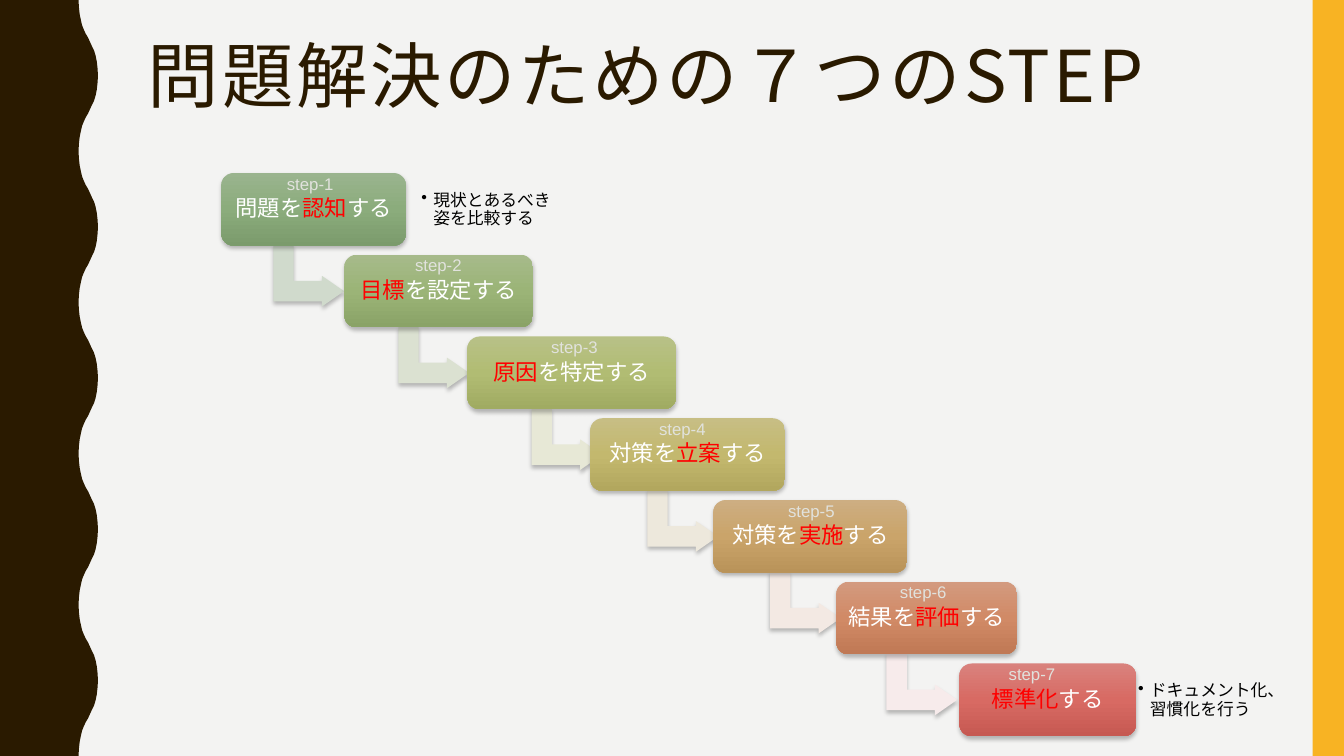
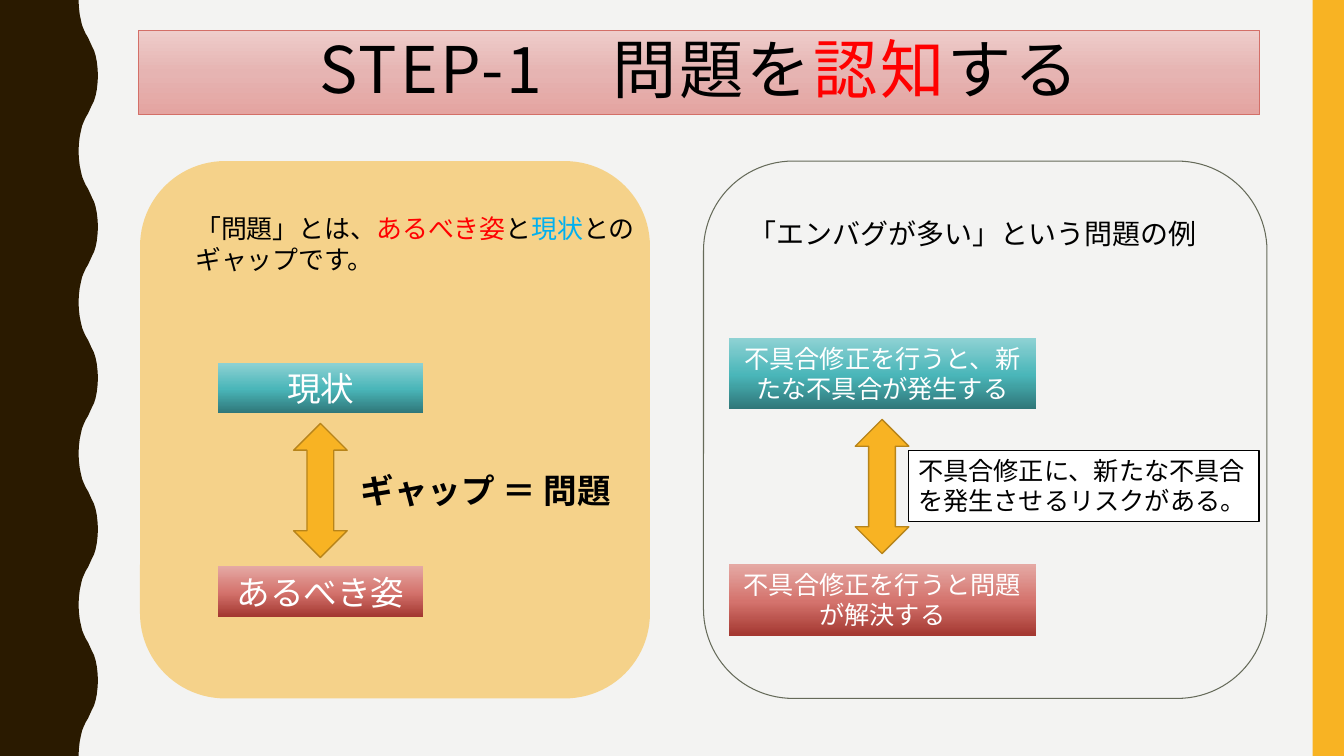
"""Build two slides on the seven steps of problem solving."""
from dataclasses import dataclass

from lxml import etree
from pptx import Presentation
from pptx.dml.color import RGBColor
from pptx.enum.lang import MSO_LANGUAGE_ID
from pptx.enum.shapes import MSO_SHAPE
from pptx.enum.text import MSO_ANCHOR, MSO_AUTO_SIZE, PP_ALIGN
from pptx.oxml.ns import qn
from pptx.shapes.autoshape import Shape
from pptx.slide import Slide
from pptx.util import Cm, Pt

RECT = MSO_SHAPE.RECTANGLE
ROUND = MSO_SHAPE.ROUNDED_RECTANGLE
BENT_ARROW = MSO_SHAPE.BENT_UP_ARROW
DOUBLE_ARROW = MSO_SHAPE.UP_DOWN_ARROW
LEFT, CENTER = PP_ALIGN.LEFT, PP_ALIGN.CENTER
TOP, MIDDLE = MSO_ANCHOR.TOP, MSO_ANCHOR.MIDDLE
GROW = MSO_AUTO_SIZE.SHAPE_TO_FIT_TEXT
JAPANESE = MSO_LANGUAGE_ID.JAPANESE

COLORS = {
    "paper": "F3F3F2", "brown": "2A1A00", "amber": "F8B323", "amber_edge": "B7841A",
    "black": "000000", "white": "FFFFFF", "red": "FF0000", "blue": "00B0F0",
    "label": "E1E2DD", "panel_edge": "656A59", "title_edge": "D36F68",
    "arrow1": "D0DACC", "arrow2": "DBE1D1", "arrow3": "E7E8D6",
    "arrow4": "EDE8DC", "arrow5": "F3E9E3", "arrow6": "F7EBEB",
}
RAMPS = {
    "step1": {0: "9AB48E", 50: "8BAC7C", 100: "7B9B6C"},
    "step2": {0: "A6BA8A", 50: "9BB477", 100: "8AA367"},
    "step3": {0: "B8C187", 50: "B1BC73", 100: "A0AB62"},
    "step4": {0: "C7BE84", 50: "C3B86E", 100: "B2A75E"},
    "step5": {0: "CDAE82", 50: "CAA46A", 100: "B99359"},
    "step6": {0: "D39A7F", 50: "D18A66", 100: "C07955"},
    "step7": {0: "D9827D", 50: "D86A63", 100: "C65952"},
    "title": {0: "EECDCB", 50: "E6B4B2", 100: "E4A4A1"},
    "teal": {0: "8FD2D4", 52: "4AB6B9", 100: "2F7779"},
    "rose": {0: "E5A9A4", 52: "D4736D", 100: "A33730"},
}
PAGE_WIDTH, PAGE_HEIGHT = 33.87, 19.05
WAVE_PERIOD, WAVE_COUNT = 3.81, 5
HALF_WAVE = [
    (1.98, 0), (1.99, 0.19), (2.01, 0.36), (2.04, 0.51), (2.07, 0.64),
    (2.11, 0.74), (2.16, 0.85), (2.22, 0.95), (2.27, 1.06), (2.32, 1.17),
    (2.37, 1.27), (2.41, 1.4), (2.44, 1.55), (2.46, 1.73), (2.47, 1.91),
]
CARD_LEFT, CARD_TOP, CARD_HEIGHT = 5.58, 4.36, 1.83
STEP_RIGHT, STEP_DOWN = 3.1, 2.06


@dataclass(frozen=True)
class Box:
    left: float
    top: float
    width: float
    height: float


@dataclass(frozen=True)
class Span:
    text: str
    color: str = "black"


@dataclass(frozen=True)
class Style:
    size: float
    face: str = "Cabin"
    align: PP_ALIGN = LEFT
    anchor: MSO_ANCHOR = TOP
    line: float = 1.0
    before: float = 0
    tracking: int = 0
    bold: bool = False
    wrap: bool = True
    inset: tuple[float, float] = (0.25, 0.13)
    bullet: bool = False


@dataclass(frozen=True)
class Step:
    width: float
    label_left: float
    spans: tuple[Span, ...]


@dataclass(frozen=True)
class Gap:
    now: str
    goal: str
    box: Box
    goal_top: float
    size: float
    arrow_top: float


TITLE = Style(51, "Noto Sans CJK SC", line=0.8, tracking=200)
BANNER = Style(45.9, "Noto Sans CJK JP", CENTER, MIDDLE, line=0.9, tracking=200)
CARD = Style(16, align=CENTER, anchor=MIDDLE, line=0.9, inset=(0.18, 0.18))
LABEL = Style(12, "Arial", wrap=False)
NOTE = Style(12, anchor=MIDDLE, line=0.9, inset=(0.13, 0.13), bullet=True)

STEPS = [
    Step(4.65, 6.98, (Span("問題を", "white"), Span("認知", "red"), Span("する", "white"))),
    Step(4.75, 10.21, (Span("目標", "red"), Span("を設定する", "white"))),
    Step(5.26, 13.64, (Span("原因", "red"), Span("を特定する", "white"))),
    Step(4.9, 16.36, (Span("対策を", "white"), Span("立案", "red"), Span("する", "white"))),
    Step(4.88, 19.61, (Span("対策を", "white"), Span("実施", "red"), Span("する", "white"))),
    Step(4.55, 22.43, (Span("結果を", "white"), Span("評価", "red"), Span("する", "white"))),
    Step(4.45, 25.17, (Span("標準化", "red"), Span("する", "white"))),
]
NOTES = [
    (Box(10.49, 4.55, 3.76, 1.47), "現状とあるべき姿を比較する"),
    (Box(28.55, 16.92, 3.68, 1.47), "ドキュメント化、習慣化を行う"),
]
GAPS = [
    Gap("現状", "あるべき姿", Box(5.49, 9.14, 5.18, 1.27), 14.27, 24, 10.67),
    Gap("不具合修正を行うと、新たな不具合が発生する", "不具合修正を行うと問題が解決する",
        Box(18.36, 8.51, 7.75, 1.8), 14.22, 18, 10.57),
]


def rgb(name: str) -> RGBColor:
    return RGBColor.from_string(COLORS[name])


def place(box: Box) -> tuple[Cm, Cm, Cm, Cm]:
    return Cm(box.left), Cm(box.top), Cm(box.width), Cm(box.height)


def add_color(parent: etree._Element, value: str, alpha: int = 100) -> None:
    color = etree.SubElement(parent, qn("a:srgbClr"), val=value)
    if alpha < 100:
        etree.SubElement(color, qn("a:alpha"), val=str(alpha * 1000))


def paint(shape: Shape, fill: str = "", edge: str = "", weight: float = 1) -> None:
    shape.shadow.inherit = False
    if fill in RAMPS:
        shape.fill.gradient()
        shape.fill.gradient_angle = 270
        stops = shape.element.spPr.find(f".//{qn('a:gsLst')}")
        stops.clear()
        for position, value in RAMPS[fill].items():
            stop = etree.SubElement(stops, qn("a:gs"), pos=str(position * 1000))
            add_color(stop, value)
    elif fill:
        shape.fill.solid()
        shape.fill.fore_color.rgb = rgb(fill)
    else:
        shape.fill.background()
    if edge:
        shape.line.color.rgb = rgb(edge)
        shape.line.width = Pt(weight)
    else:
        shape.line.fill.background()


def add_box(page: Slide, kind: MSO_SHAPE, box: Box, fill: str = "",
            edge: str = "", weight: float = 1) -> Shape:
    shape = page.shapes.add_shape(kind, *place(box))
    paint(shape, fill, edge, weight)
    return shape


def cast_shadow(shape: Shape) -> None:
    effects = shape.element.spPr.find(qn("a:effectLst"))
    shadow = etree.SubElement(
        effects, qn("a:outerShdw"), blurRad=str(Pt(3)), dist=str(Pt(2)),
        dir="5400000", algn="ctr", rotWithShape="0")
    add_color(shadow, COLORS["black"], 25)


def write(shape: Shape, style: Style, *spans: Span) -> None:
    frame = shape.text_frame
    frame.word_wrap = style.wrap
    frame.auto_size = MSO_AUTO_SIZE.NONE if style.wrap else GROW
    frame.vertical_anchor = style.anchor
    frame.margin_left = frame.margin_right = Cm(style.inset[0])
    frame.margin_top = frame.margin_bottom = Cm(style.inset[1])
    para = frame.paragraphs[0]
    para.alignment = style.align
    para.line_spacing = style.line
    para.space_before = Pt(style.before)
    if style.bullet:
        settings = para._p.get_or_add_pPr()
        settings.set("marL", str(Cm(0.3)))
        settings.set("indent", str(Cm(-0.3)))
        etree.SubElement(settings, qn("a:buChar"), char="•")
    for span in spans:
        run = para.add_run()
        run.text = span.text
        font = run.font
        font.size = Pt(style.size)
        font.bold = style.bold
        font.name = style.face
        font.language_id = JAPANESE
        font.color.rgb = rgb(span.color)
        settings = run._r.get_or_add_rPr()
        settings.set("spc", str(style.tracking))
        east = etree.Element(qn("a:ea"), typeface=style.face)
        settings.find(qn("a:latin")).addnext(east)


def add_text(page: Slide, box: Box, style: Style, *spans: Span) -> None:
    write(page.shapes.add_textbox(*place(box)), style, *spans)


def add_page(deck: Presentation) -> Slide:
    page = deck.slides.add_slide(deck.slide_layouts[6])
    page.background.fill.solid()
    page.background.fill.fore_color.rgb = rgb("paper")
    crest = HALF_WAVE + [(x, WAVE_PERIOD - y) for x, y in reversed(HALF_WAVE)]
    edge = [(Cm(x), Cm(y + index * WAVE_PERIOD))
            for index in range(WAVE_COUNT) for x, y in crest]
    outline = page.shapes.build_freeform(0, 0, scale=1.0)
    outline.add_line_segments(edge + [(0, Cm(PAGE_HEIGHT))], close=True)
    paint(outline.convert_to_shape(), "brown")
    add_box(page, RECT, Box(33.08, 0, 0.79, PAGE_HEIGHT), "amber")
    return page


def add_step(page: Slide, index: int, step: Step) -> None:
    left = CARD_LEFT + index * STEP_RIGHT
    top = CARD_TOP + index * STEP_DOWN
    number = index + 1
    if number < len(STEPS):
        arrow_box = Box(left + step.width / 2 - 0.9, top + 1.7, 1.55, 1.78)
        arrow = add_box(page, BENT_ARROW, arrow_box, f"arrow{number}")
        arrow.rotation = 90
        for position, value in enumerate((0.33, 0.25, 0.36)):
            arrow.adjustments[position] = value
        cast_shadow(arrow)
    card = add_box(page, ROUND, Box(left, top, step.width, CARD_HEIGHT), f"step{number}")
    cast_shadow(card)
    write(card, CARD, *step.spans)
    label_box = Box(step.label_left, top - 0.12, 1.85, 0.76)
    add_text(page, label_box, LABEL, Span(f"step-{number}", "label"))


def add_gap(page: Slide, gap: Gap) -> None:
    box = gap.box
    goal_box = Box(box.left, gap.goal_top, box.width, box.height)
    for state_box, text, fill, face in (
            (box, gap.now, "teal", "Roboto"), (goal_box, gap.goal, "rose", "Cabin")):
        state = add_box(page, RECT, state_box, fill)
        write(state, Style(gap.size, face, CENTER), Span(text, "white"))
    arrow_box = Box(box.left + box.width / 2 - 0.68, gap.arrow_top, 1.35, 3.38)
    add_box(page, DOUBLE_ARROW, arrow_box, "amber", "amber_edge")


def build_steps(deck: Presentation) -> None:
    page = add_page(deck)
    add_text(page, Box(3.48, 1.07, 28.27, 2.41), TITLE,
             Span("問題解決のための７つのSTEP", "brown"))
    for index, step in enumerate(STEPS):
        add_step(page, index, step)
    for box, text in NOTES:
        add_text(page, box, NOTE, Span(text))


def build_recognition(deck: Presentation) -> None:
    page = add_page(deck)
    add_box(page, ROUND, Box(17.73, 4.06, 14.2, 13.54), edge="panel_edge", weight=0.75)
    panel = add_box(page, ROUND, Box(3.53, 4.06, 12.85, 13.54), "amber")
    tint = panel.element.spPr.find(f"{qn('a:solidFill')}/{qn('a:srgbClr')}")
    etree.SubElement(tint, qn("a:alpha"), val="50000")
    banner = add_box(page, RECT, Box(3.48, 0.76, 28.27, 2.13), "title", "title_edge", 0.5)
    write(banner, BANNER, Span("STEP-1　問題を"), Span("認知", "red"), Span("する"))
    add_text(page, Box(4.67, 5.23, 11.73, 2.01), Style(18.5, before=7),
             Span("「問題」とは、"), Span("あるべき姿", "red"), Span("と"),
             Span("現状", "blue"), Span("とのギャップです。"))
    add_text(page, Box(18.14, 5.23, 12.75, 2.01),
             Style(20, align=CENTER, line=1.1, before=7),
             Span("「エンバグが多い」という問題の例"))
    for gap in GAPS:
        add_gap(page, gap)
    add_text(page, Box(8.84, 11.71, 6.96, 1.27), Style(24, bold=True, wrap=False),
             Span("ギャップ ＝ 問題"))
    risk = add_box(page, RECT, Box(22.89, 11.35, 8.84, 1.8), "white", "black")
    write(risk, Style(18), Span("不具合修正に、新たな不具合を発生させるリスクがある。"))


def main() -> None:
    deck = Presentation()
    deck.slide_width, deck.slide_height = Cm(PAGE_WIDTH), Cm(PAGE_HEIGHT)
    build_steps(deck)
    build_recognition(deck)
    deck.save("out.pptx")


main()
